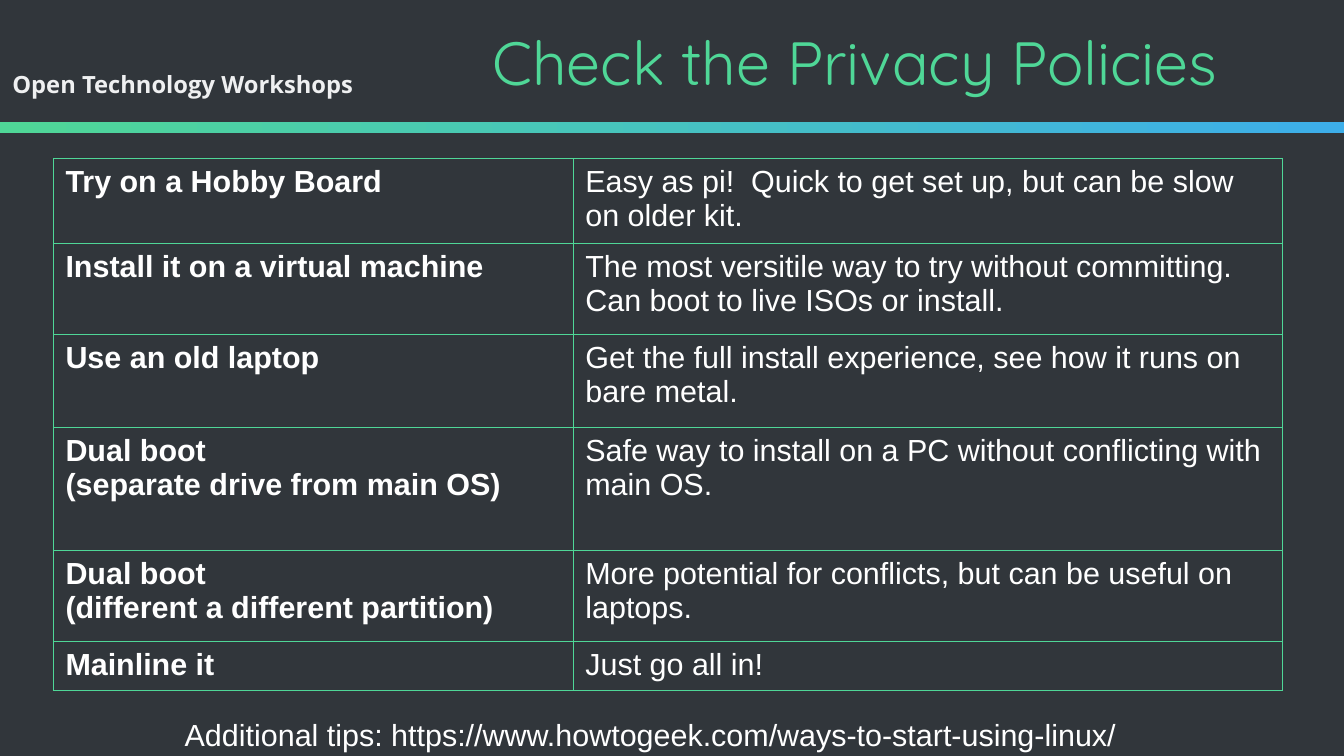
from lxml import etree
from pptx import Presentation
from pptx.dml.color import RGBColor
from pptx.enum.shapes import MSO_SHAPE
from pptx.enum.text import MSO_ANCHOR, PP_ALIGN
from pptx.oxml.ns import qn
from pptx.util import Pt

RECT = MSO_SHAPE.RECTANGLE
MIDDLE, TOP = MSO_ANCHOR.MIDDLE, MSO_ANCHOR.TOP
LEFT, CENTER = PP_ALIGN.LEFT, PP_ALIGN.CENTER


class Theme:
    back, green, blue = "31363B", "4FD797", "3DAEE9"
    pale, white = "EFF0F1", "FFFFFF"
    brand = {"name": "Open Sans", "size": Pt(14), "bold": True}
    head = {"name": "Quicksand", "size": Pt(36), "bold": False}
    body = {"name": "Arial", "size": Pt(18), "bold": False}
    strong = {"name": "Arial", "size": Pt(18), "bold": True}
    line = Pt(0.57)


def write(frame, text, style, color, align=LEFT):
    frame.text = text
    for para in frame.paragraphs:
        para.alignment = align
        for run in para.runs:
            for key, value in style.items():
                setattr(run.font, key, value)
            run.font.color.rgb = RGBColor.from_string(color)


def edge(cell):
    props = cell._tc.get_or_add_tcPr()
    for side in ("lnL", "lnR", "lnT", "lnB"):
        line = etree.SubElement(props, qn(f"a:{side}"), w=str(Theme.line))
        fill = etree.SubElement(line, qn("a:solidFill"))
        etree.SubElement(fill, qn("a:srgbClr"), val=Theme.green)


# Slide and background
deck = Presentation()
deck.slide_width, deck.slide_height = Pt(793.7), Pt(446.4)
slide = deck.slides.add_slide(deck.slide_layouts[5])
slide.background.fill.solid()
slide.background.fill.fore_color.rgb = RGBColor.from_string(Theme.back)
shapes = slide.shapes

# Series name in the title placeholder
brand = shapes.title
brand.left, brand.top, brand.width, brand.height = Pt(0), Pt(35.3), Pt(216), Pt(28.8)
frame = brand.text_frame
for side in ("left", "right", "top", "bottom"):
    setattr(frame, f"margin_{side}", 0)
frame.vertical_anchor = MIDDLE
write(frame, "Open Technology Workshops", Theme.brand, Theme.pale, CENTER)

# Gradient bar
bar = shapes.add_shape(RECT, Pt(0), Pt(72), deck.slide_width, Pt(6.5))
bar.shadow.inherit = False
bar.line.fill.background()
bar.fill.gradient()
bar.fill.gradient_angle = 180
for stop, color, place in zip(bar.fill.gradient_stops, (Theme.blue, Theme.green), (0, 1)):
    stop.color.rgb = RGBColor.from_string(color)
    stop.position = place

# Heading and tip line
texts = [
    ("Check the Privacy Policies", (216, 0, 577.7, 72), Theme.head, Theme.green, CENTER, MIDDLE),
    ("Additional tips: https://www.howtogeek.com/ways-to-start-using-linux/",
     (102, 419, 576, 31), Theme.body, Theme.white, LEFT, TOP),
]
for text, place, style, color, align, anchor in texts:
    frame = shapes.add_textbox(*map(Pt, place)).text_frame
    frame.word_wrap = True
    frame.vertical_anchor = anchor
    write(frame, text, style, color, align)

# Table of ways to start: height, way, remark
ways = [
    (50.2, "Try on a Hobby Board",
     "Easy as pi!  Quick to get set up, but can be slow on older kit."),
    (53.7, "Install it on a virtual machine",
     "The most versitile way to try without committing.  Can boot to live ISOs or install."),
    (54.9, "Use an old laptop",
     "Get the full install experience, see how it runs on bare metal."),
    (72.6, "Dual boot\n(separate drive from main OS)",
     "Safe way to install on a PC without conflicting with main OS."),
    (53.7, "Dual boot\n(different a different partition)",
     "More potential for conflicts, but can be useful on laptops."),
    (28.9, "Mainline it", "Just go all in!"),
]
wides = (307, 419)
high = sum(way[0] for way in ways)
table = shapes.add_table(len(ways), len(wides), Pt(31.5), Pt(93.5),
                         Pt(sum(wides)), Pt(high)).table
table.first_row = table.horz_banding = False
for col, wide in zip(table.columns, wides):
    col.width = Pt(wide)
for row, (tall, *words) in zip(table.rows, ways):
    row.height = Pt(tall)
    for cell, text, style in zip(row.cells, words, (Theme.strong, Theme.body)):
        edge(cell)
        cell.fill.background()
        write(cell.text_frame, text, style, Theme.white)

deck.save("out.pptx")
